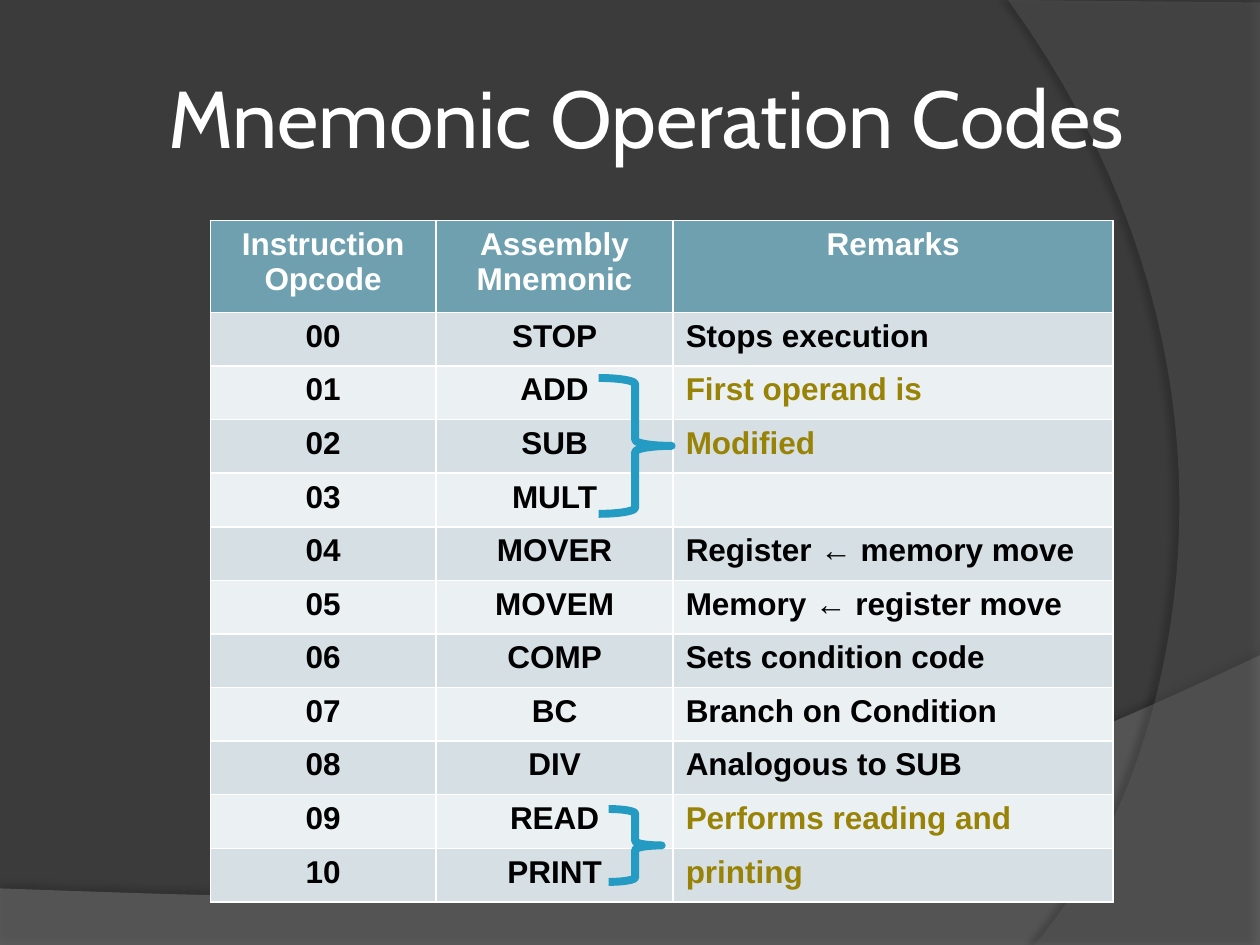
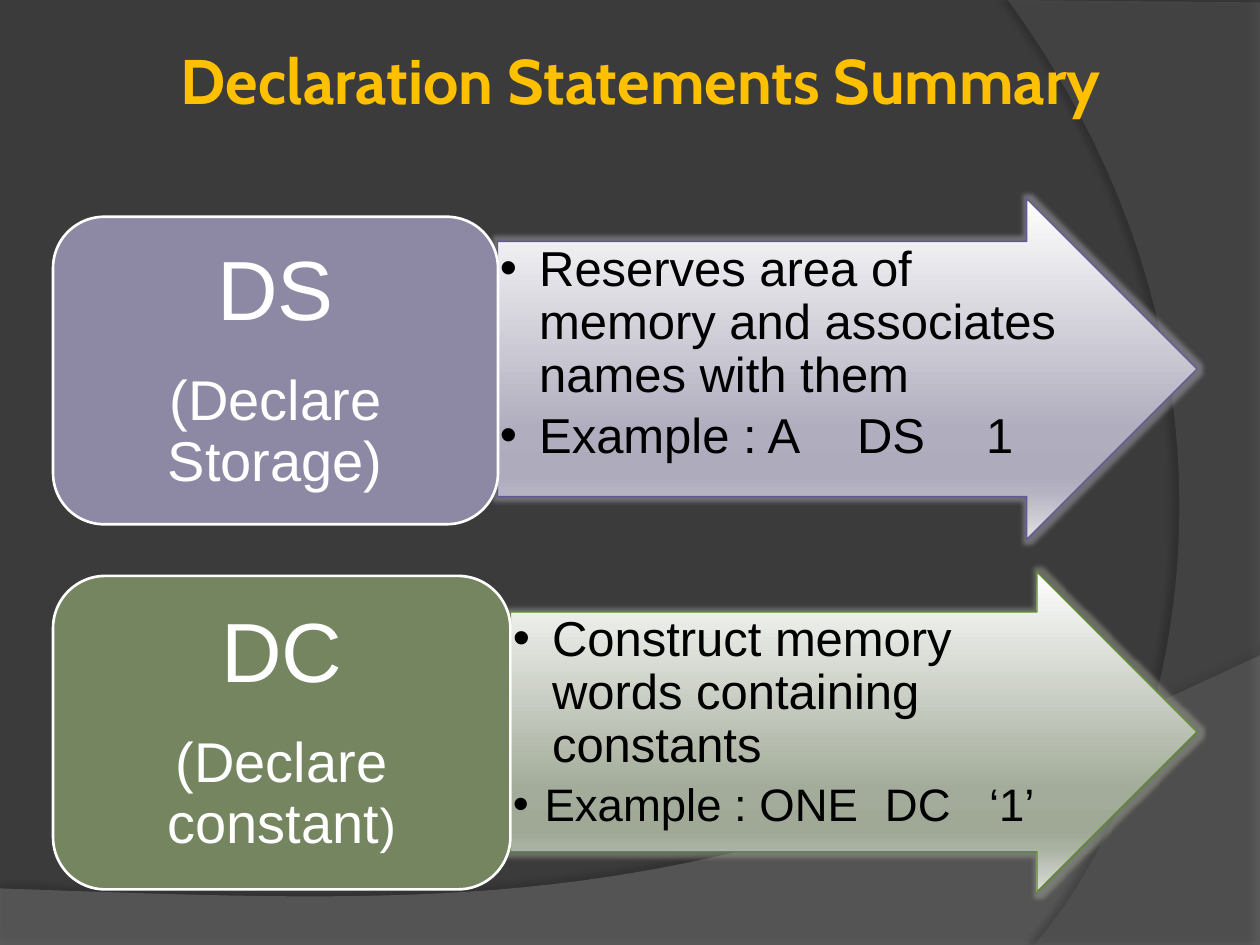
from pptx import Presentation
from pptx.dml.color import RGBColor
from pptx.enum.shapes import MSO_SHAPE as Preset
from pptx.enum.text import MSO_ANCHOR as Anchor, MSO_AUTO_SIZE as AutoSize, PP_ALIGN as Align
from pptx.oxml import parse_xml
from pptx.oxml.ns import nsdecls, qn
from pptx.util import Cm, Pt

COLORS = {
    "background": "3B3B3B", "bottom sweep": "7F7F7F", "side sweep": "5E5E5E",
    "white": "FFFFFF", "black": "000000", "gold": "FFC000", "remark": "998307",
    "header": "6EA0B0", "odd row": "D5DFE4", "even row": "EBF0F2", "brace": "239BC2",
    "storage": "8D89A4", "storage edge": "625899",
    "constant": "748560", "constant edge": "5F882F",
}
RGB = {name: RGBColor.from_string(value) for name, value in COLORS.items()}
CELL_FONT = {"name": "Arial", "size": Pt(18), "bold": True}


def add_xml(parent, xml):
    """Append a DrawingML fragment whose first tag is in the a: namespace."""
    tag, rest = xml.split(" ", 1)
    parent.append(parse_xml(f"{tag} {nsdecls('a')} {rest}"))


def write(paragraph, text, color, font):
    run = paragraph.add_run()
    run.text = text
    for key, value in font.items():
        setattr(run.font, key, value)
    run.font.color.rgb = RGB[color]


prs = Presentation()
prs.slide_width, prs.slide_height = Cm(25.4), Cm(19.05)
master = prs.slide_master
master.background.fill.solid()
master.background.fill.fore_color.rgb = RGB["background"]
title_only = prs.slide_layouts[5]
opcodes = prs.slides.add_slide(title_only)
declarations = prs.slides.add_slide(title_only)

# Translucent sweeps behind every slide: straight corners, then a Bézier edge
# from the last corner. Shadow values are opacity, distance and direction.
sweeps = [
    ("bottom sweep", 45, [(0, 17.91), (0, 19.05), (25.4, 19.05), (25.4, 13.21)],
     [(14.2, 18.52), (9.93, 18.26), (0, 17.91)], (35, 3.5, 270)),
    ("side sweep", 40, [(25.4, 0.05), (25.4, 19.05), (20.85, 19.05)],
     [(23.75, 15.72), (25.86, 7.62), (20.32, 0)], (45, 4, 180)),
]
for order, (color, opacity, corners, curve, shadow) in enumerate(sweeps):
    controls = [corners[-1], *curve]
    outline = list(corners)
    for step in range(1, 41):
        t = step / 40
        weights = ((1 - t) ** 3, 3 * t * (1 - t) ** 2, 3 * t ** 2 * (1 - t), t ** 3)
        outline.append(tuple(sum(w * point[axis] for w, point in zip(weights, controls))
                             for axis in (0, 1)))
    points = [(Cm(x), Cm(y)) for x, y in outline]
    builder = opcodes.shapes.build_freeform(*points[0])
    builder.add_line_segments(points[1:], close=True)
    sweep = builder.convert_to_shape()
    sweep.shadow.inherit = False
    sweep.line.fill.background()
    sweep.fill.solid()
    sweep.fill.fore_color.rgb = RGB[color]
    properties = sweep.element.spPr
    add_xml(properties.find(".//" + qn("a:srgbClr")), f'<a:alpha val="{opacity * 1000}"/>')
    strength, distance, direction = shadow
    add_xml(properties.find(qn("a:effectLst")),
            f'<a:outerShdw blurRad="{Pt(4)}" dist="{Pt(distance)}" dir="{direction * 60000}">'
            f'<a:srgbClr val="{COLORS["black"]}"><a:alpha val="{strength * 1000}"/></a:srgbClr>'
            '</a:outerShdw>')
    sweep.element.nvSpPr.cNvPr.set("id", str(100 + order))
    master.shapes._spTree.insert(2 + order, sweep.element)

titles = [
    (opcodes, "Mnemonic Operation Codes", (1.27, 0.76, 23.5, 3.18), "white", 46, False),
    (declarations, "Declaration Statements Summary", (1.07, 0, 23.7, 3.18), "gold", 36, True),
]
for slide, text, box, color, size, bold in titles:
    title = slide.shapes.title
    title.left, title.top, title.width, title.height = map(Cm, box)
    frame = title.text_frame
    frame_format = {"auto_size": AutoSize.NONE, "word_wrap": True,
                    "vertical_anchor": Anchor.MIDDLE, "margin_left": Cm(0.13),
                    "margin_right": Cm(0.13)}
    for key, value in frame_format.items():
        setattr(frame, key, value)
    frame.paragraphs[0].alignment = Align.CENTER
    write(frame.paragraphs[0], text, color, {"name": "Cabin", "size": Pt(size), "bold": bold})

# Slide 1: opcode table; the opcode is the row's position
headings = ["Instruction Opcode", "Assembly Mnemonic", "Remarks"]
instructions = [
    ("STOP", "Stops execution"),
    ("ADD", "First operand is"),
    ("SUB", "Modified"),
    ("MULT", ""),
    ("MOVER", "Register ← memory move"),
    ("MOVEM", "Memory ← register move"),
    ("COMP", "Sets condition code"),
    ("BC", "Branch on Condition"),
    ("DIV", "Analogous to SUB"),
    ("READ", "Performs reading and"),
    ("PRINT", "printing"),
]
braced = {"ADD", "SUB", "READ", "PRINT"}
rows = [headings] + [(f"{code:02d}", *entry) for code, entry in enumerate(instructions)]
table = opcodes.shapes.add_table(len(rows), 3, Cm(4.24), Cm(4.45), Cm(18.2), Cm(13.77)).table
for column, width in zip(table.columns, (4.55, 4.78, 8.87)):
    column.width = Cm(width)
for r, row in enumerate(rows):
    table.rows[r].height = Cm(1.08 if r else 1.85)
    for c, text in enumerate(row):
        cell = table.cell(r, c)
        cell.fill.solid()
        fill = "header" if r == 0 else "odd row" if r % 2 else "even row"
        cell.fill.fore_color.rgb = RGB[fill]
        if not text:
            continue
        paragraph = cell.text_frame.paragraphs[0]
        paragraph.alignment = Align.LEFT if r and c == 2 else Align.CENTER
        color = "white" if r == 0 else "remark" if c == 2 and row[1] in braced else "black"
        write(paragraph, text, color, CELL_FONT)

for box in [(12.07, 7.62, 1.47, 2.74), (12.27, 16.31, 1.07, 1.47)]:
    brace = opcodes.shapes.add_shape(Preset.RIGHT_BRACE, *map(Cm, box))
    brace.shadow.inherit = False
    brace.fill.background()
    brace.line.color.rgb = RGB["brace"]
    brace.line.width = Pt(4.5)

# Slide 2: each statement is a label box with an arrow of details
statements = [
    {"color": "storage", "arrow": (10.03, 4.01, 14.1, 6.86), "label": (1.07, 4.37, 8.97, 6.2),
     "name": [[("DS", 48)], [("(Declare Storage)", 32)]],
     "details": [("Reserves area of memory and associates names with them", 28, 0.79),
                 ("Example : A\tDS\t1", 28, 0.79)],
     "tabs": (7.2, 9.8),
     "gradient": [(0, "FEFEFE"), (68, "B0AEBE"), (81, "ADABBC"), (86, "B5B3C2"), (100, "E0DFE4")]},
    {"color": "constant", "arrow": (10.29, 11.53, 13.84, 6.45), "label": (1.07, 11.61, 9.22, 6.32),
     "name": [[("DC", 48)], [("(Declare constant", 32), (")", 28)]],
     "details": [("Construct memory words containing constants", 28, 0.79),
                 ("Example : ONE\tDC\t‘1’", 26, 0.64)],
     "tabs": (7.5, 9.6),
     "gradient": [(0, "FEFEFE"), (68, "A3AC9A"), (81, "9FA996"), (86, "A9B1A1"), (100, "DBDED9")]},
]
for statement in statements:
    arrow = declarations.shapes.add_shape(Preset.RIGHT_ARROW, *map(Cm, statement["arrow"]))
    arrow.adjustments[0], arrow.adjustments[1] = 0.75, 0.5
    arrow.shadow.inherit = False
    arrow.line.color.rgb = RGB[statement["color"] + " edge"]
    arrow.line.width = Pt(0.75)
    arrow.fill.gradient()
    arrow.fill.gradient_angle = 270
    properties = arrow.element.spPr
    stops = properties.find(".//" + qn("a:gsLst"))
    stops.clear()
    for position, value in statement["gradient"]:
        add_xml(stops, f'<a:gs pos="{position * 1000}"><a:srgbClr val="{value}"/></a:gs>')
    add_xml(properties.find(qn("a:effectLst")),
            f'<a:glow rad="{Pt(5)}"><a:srgbClr val="{statement["gradient"][1][1]}">'
            '<a:alpha val="45000"/></a:srgbClr></a:glow>')

    frame = arrow.text_frame
    frame.word_wrap = True
    frame.vertical_anchor = Anchor.TOP
    for side in ("left", "top", "right", "bottom"):
        setattr(frame, "margin_" + side, Cm(0.05))
    for i, (text, size, indent) in enumerate(statement["details"]):
        paragraph = frame.add_paragraph() if i else frame.paragraphs[0]
        settings = paragraph._p.get_or_add_pPr()
        settings.set("marL", str(Cm(indent)))
        settings.set("indent", str(-Cm(indent)))
        add_xml(settings, '<a:buFont typeface="Arial"/>')
        add_xml(settings, '<a:buChar char="•"/>')
        if "\t" in text:
            tabs = "".join(f'<a:tab pos="{Cm(tab)}" algn="l"/>' for tab in statement["tabs"])
            add_xml(settings, f'<a:tabLst >{tabs}</a:tabLst>')
        paragraph.alignment = Align.LEFT
        paragraph.level = 1
        paragraph.line_spacing = 0.9
        paragraph.space_after = Pt(5)
        write(paragraph, text, "black", {"name": "Arial", "size": Pt(size)})

    label = declarations.shapes.add_shape(Preset.ROUNDED_RECTANGLE, *map(Cm, statement["label"]))
    label.shadow.inherit = False
    label.fill.solid()
    label.fill.fore_color.rgb = RGB[statement["color"]]
    label.line.color.rgb = RGB["white"]
    label.line.width = Pt(1.5)
    frame = label.text_frame
    frame.word_wrap = True
    frame.vertical_anchor = Anchor.MIDDLE
    for side, margin in {"left": 0.51, "top": 0.25, "right": 0.51, "bottom": 0.25}.items():
        setattr(frame, "margin_" + side, Cm(margin))
    for i, runs in enumerate(statement["name"]):
        paragraph = frame.add_paragraph() if i else frame.paragraphs[0]
        paragraph.alignment = Align.CENTER
        paragraph.line_spacing = 0.9
        paragraph.space_after = Pt(19.5 if i == 0 else 13)
        for text, size in runs:
            write(paragraph, text, "white", {"name": "Arial", "size": Pt(size)})

prs.save("out.pptx")
